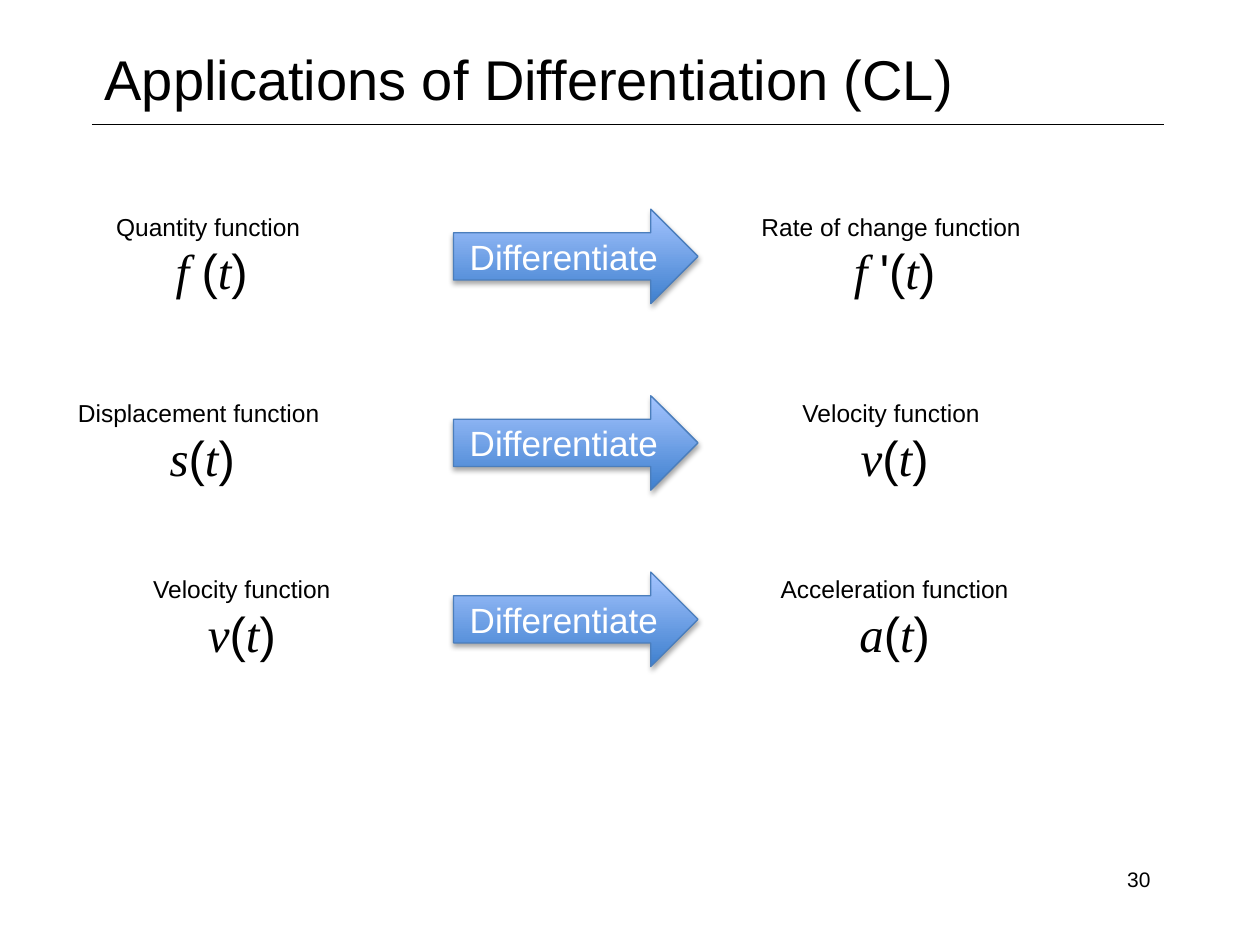
from lxml import etree
from pptx import Presentation, util as u
from pptx.dml.color import RGBColor
from pptx.enum import shapes, text
from pptx.oxml.ns import qn

COLS, ROWS = 100, 75
LEFT_COL, ARROW_COL, RIGHT_COL = 3.9, 36, 55.4
RIGHT_WIDTH = 31.2

# row, left width, left label, left formula, right label, right formula
RULES = [
    (16.3, 25.8, "Quantity function ", ("f ", "("), "Rate of change function ", ("f ", "'(")),
    (31.1, 24.3, "Displacement function ", ("s", "("), "Velocity function ", ("v", "(")),
    (45.1, 30.6, "Velocity function", ("v", "("), "Acceleration function", ("a", "(")),
]


def rgb(value):
    return RGBColor.from_string(value)


class Deck:
    font, math_font = "Arial", "Times New Roman"
    ink, light = "000000", "FFFFFF"
    arrow_fill, arrow_line = ("3F80CE", "A4C4FF"), "4B7EBC"

    def __init__(self):
        self.prs = Presentation()
        self.prs.slide_width, self.prs.slide_height = u.Inches(10), u.Inches(7.5)
        self.s = self.prs.slides.add_slide(self.prs.slide_layouts[5])

    def box(self, col, row, width, height):
        """Turn grid units into left, top, width and height."""
        x, y = self.prs.slide_width / COLS, self.prs.slide_height / ROWS
        return [u.Emu(round(n)) for n in (col * x, row * y, width * x, height * y)]

    def style(self, p, size, align, color=None):
        p.alignment = align
        p.font.size, p.font.name = u.Pt(size), self.font
        p.font.color.rgb = rgb(color or self.ink)

    def title(self, words, *area):
        sp = self.s.shapes.title
        sp.left, sp.top, sp.width, sp.height = self.box(*area)
        tf = sp.text_frame
        tf.text, tf.vertical_anchor = words, text.MSO_ANCHOR.MIDDLE
        self.style(tf.paragraphs[0], 32, text.PP_ALIGN.LEFT)

    def rule(self, col, row, width):
        left, top, length, _ = self.box(col, row, width, 0)
        line = self.s.shapes.add_connector(
            shapes.MSO_CONNECTOR.STRAIGHT, left, top, left + length, top)
        line.line.color.rgb, line.line.width = rgb(self.ink), u.Pt(0.25)
        etree.SubElement(line._element.spPr, qn("a:effectLst"))

    def text_box(self, words, size, align, *area):
        tf = self.s.shapes.add_textbox(*self.box(*area)).text_frame
        tf.word_wrap, tf.text = True, words
        self.style(tf.paragraphs[0], size, align)
        return tf

    def function(self, label, formula, *area):
        """Add a label with a function of t, such as v(t), below it."""
        tf = self.text_box(label, 14, text.PP_ALIGN.CENTER, *area)
        tf.auto_size = text.MSO_AUTO_SIZE.SHAPE_TO_FIT_TEXT
        p = tf.add_paragraph()
        self.style(p, 28, text.PP_ALIGN.CENTER)
        for i, part in enumerate((*formula, "t", ")")):
            r = p.add_run()
            r.text = part
            r.font.italic = i % 2 == 0
            r.font.name = self.math_font if r.font.italic else self.font

    def arrow(self, words, *area):
        sp = self.s.shapes.add_shape(shapes.MSO_SHAPE.RIGHT_ARROW, *self.box(*area))
        sp.fill.gradient()
        sp.fill.gradient_angle = 90
        for stop, color in zip(sp.fill.gradient_stops, self.arrow_fill):
            stop.color.rgb = rgb(color)
        sp.line.color.rgb, sp.line.width = rgb(self.arrow_line), u.Pt(0.75)
        self.soft_shadow(sp)
        tf = sp.text_frame
        tf.word_wrap, tf.text = True, words
        tf.vertical_anchor = text.MSO_ANCHOR.MIDDLE
        self.style(tf.paragraphs[0], 20, text.PP_ALIGN.CENTER, self.light)

    def soft_shadow(self, sp):
        sp.shadow.inherit = False
        effects = sp._element.spPr.find(qn("a:effectLst"))
        shadow = etree.SubElement(
            effects, qn("a:outerShdw"), blurRad=str(u.Pt(3.1)), dist=str(u.Pt(1.8)),
            dir="5400000", rotWithShape="0")
        color = etree.SubElement(shadow, qn("a:srgbClr"), val=self.ink)
        etree.SubElement(color, qn("a:alpha"), val="35000")


def main():
    deck = Deck()
    deck.rule(7.3, 9.9, 85.1)
    deck.title("Applications of Differentiation (CL)", 7.3, 2.9, 75.3, 6.6)
    for row, width, label, formula, new_label, new_formula in RULES:
        deck.function(label, formula, LEFT_COL, row, width, 8.1)
        deck.arrow("Differentiate", ARROW_COL, row + 0.3, RIGHT_COL - ARROW_COL, 7.5)
        deck.function(new_label, new_formula, RIGHT_COL, row, RIGHT_WIDTH, 8.1)
    deck.text_box("30", 12, text.PP_ALIGN.RIGHT, 69, 68.3, 23.3, 4)
    deck.prs.save("out.pptx")


if __name__ == "__main__":
    main()
